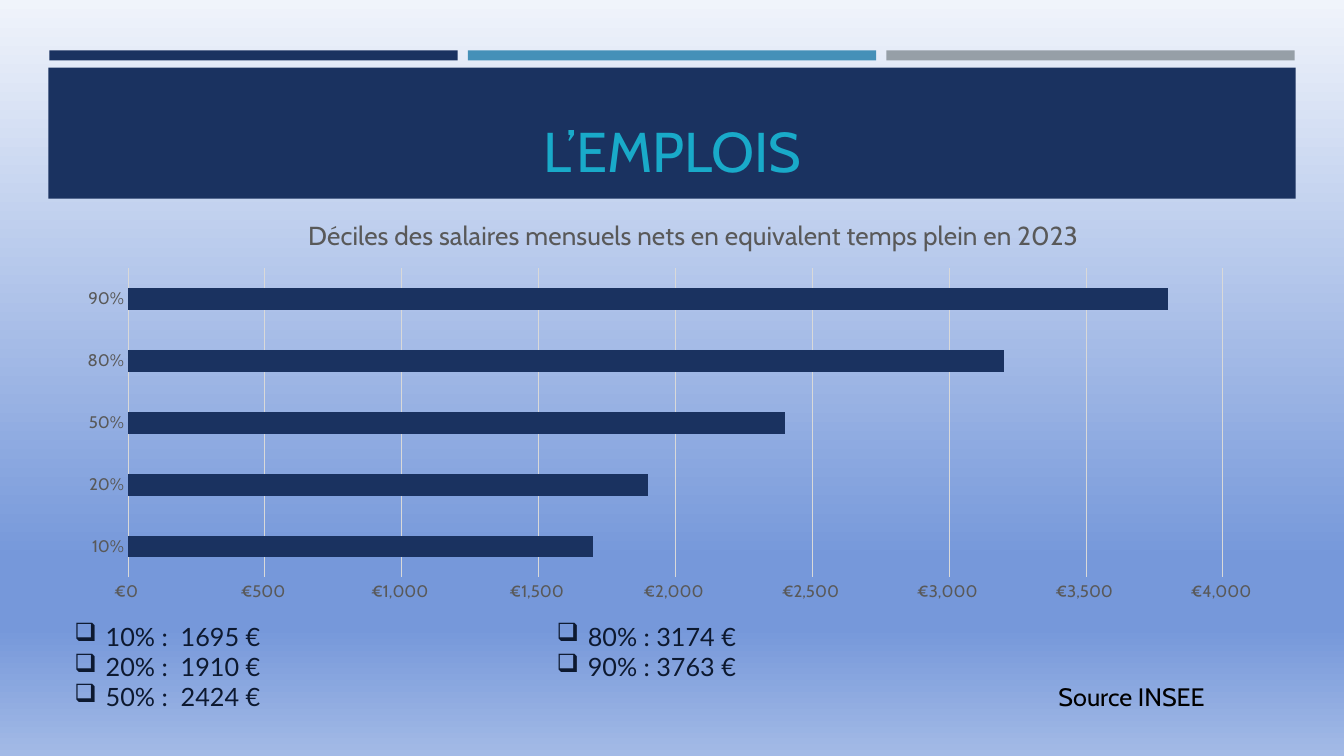
from dataclasses import dataclass

from lxml.etree import SubElement
from pptx import Presentation
from pptx.chart.data import CategoryChartData
from pptx.dml.color import RGBColor
from pptx.enum.chart import XL_CHART_TYPE, XL_TICK_MARK
from pptx.enum.shapes import MSO_SHAPE
from pptx.enum.text import MSO_ANCHOR, MSO_AUTO_SIZE, PP_ALIGN
from pptx.oxml.ns import qn
from pptx.util import Inches, Pt


@dataclass(frozen=True)
class Theme:
    navy: str = "1A3260"
    blue: str = "4590B8"
    grey: str = "969FA7"
    title: str = "19AAC9"
    body: str = "0D1930"
    black: str = "000000"
    axis: str = "595959"
    grid: str = "D9D9D9"
    sky: tuple = ((0, "F0F4FB"), (74, "7698DA"), (83, "7698DA"), (100, "A3BAE6"))
    font: str = "Cabin"
    list_font: str = "Lato"
    title_size: float = 40
    chart_title_size: float = 18.6
    body_size: float = 18
    axis_size: float = 12
    chart_size: float = 10


def style_font(font, name, size, color):
    font.name, font.size, font.bold = name, Pt(size), False
    font.color.rgb = RGBColor.from_string(color)


def place_part(parent, before, frame, inner=False, **inches):
    """Place a chart part by inches from the top left of the chart frame."""
    layout = parent.find(qn("c:layout"))
    if layout is None:
        layout = SubElement(parent, qn("c:layout"))
        parent.find(qn(before)).addprevious(layout)
    for child in list(layout):
        layout.remove(child)
    manual = SubElement(layout, qn("c:manualLayout"))
    if inner:
        SubElement(manual, qn("c:layoutTarget"), val="inner")
    for key in ("xMode", "yMode"):
        SubElement(manual, qn(f"c:{key}"), val="edge")
    width, height = frame[2:]
    for key, value in inches.items():
        whole = width if key in "xw" else height
        SubElement(manual, qn(f"c:{key}"), val=str(value / whole))


class SlideBuilder:
    def __init__(self, slide, theme):
        self.s, self.theme = slide, theme

    def background(self, stops):
        fill = self.s.background.fill
        fill.gradient()
        fill.gradient_angle = 270
        gs_list = self.s.element.find(".//" + qn("a:gsLst"))
        for gs in list(gs_list):
            gs_list.remove(gs)
        for percent, color in stops:
            gs = SubElement(gs_list, qn("a:gs"), pos=str(percent * 1000))
            SubElement(gs, qn("a:srgbClr"), val=color)

    def bar(self, x, y, w, h, color):
        sp = self.s.shapes.add_shape(
            MSO_SHAPE.RECTANGLE, Inches(x), Inches(y), Inches(w), Inches(h))
        sp.shadow.inherit = False
        sp.fill.solid()
        sp.fill.fore_color.rgb = RGBColor.from_string(color)
        sp.line.fill.background()

    def text(self, box, lines, font, size, color, align=PP_ALIGN.LEFT,
             anchor=MSO_ANCHOR.TOP, grow=False):
        tf = self.s.shapes.add_textbox(*map(Inches, box)).text_frame
        tf.word_wrap = True
        tf.vertical_anchor = anchor
        tf.auto_size = MSO_AUTO_SIZE.SHAPE_TO_FIT_TEXT if grow else MSO_AUTO_SIZE.NONE
        for i, line in enumerate(lines):
            p = tf.add_paragraph() if i else tf.paragraphs[0]
            p.alignment = align
            r = p.add_run()
            r.text = line
            style_font(r.font, font, size, color)
        return tf

    def bullets(self, box, lines, columns):
        t = self.theme
        tf = self.text(box, lines, t.list_font, t.body_size, t.body, grow=True)
        tf._txBody.bodyPr.set("numCol", str(columns))
        indent = Inches(0.31)
        for p in tf.paragraphs:
            pPr = p._p.get_or_add_pPr()
            pPr.set("marL", str(indent))
            pPr.set("indent", str(-indent))
            SubElement(pPr, qn("a:buChar"), char="❑")

    def bar_chart(self, box, title, values):
        t = self.theme
        data = CategoryChartData()
        data.categories = list(values)
        data.add_series("Series 1", list(values.values()))
        chart = self.s.shapes.add_chart(
            XL_CHART_TYPE.BAR_CLUSTERED, *map(Inches, box), data).chart
        style_font(chart.font, t.font, t.chart_size, t.black)
        chart.has_legend = False

        r = chart.chart_title.text_frame.paragraphs[0].add_run()
        r.text = title
        style_font(r.font, t.font, t.chart_title_size, t.axis)
        chart.chart_title.include_in_layout = False
        place_part(chart.chart_title._element, "c:overlay", box, x=2.37, y=0.08)
        place_part(chart._chartSpace.chart.plotArea, "c:barChart", box, inner=True,
                   x=0.63, y=0.63, w=10.86, h=3.07)

        plot = chart.plots[0]
        plot.gap_width = 182
        plot.vary_by_categories = False
        fill = plot.series[0].format.fill
        fill.solid()
        fill.fore_color.rgb = RGBColor.from_string(t.navy)

        cat, val = chart.category_axis, chart.value_axis
        for axis in (cat, val):
            axis.major_tick_mark = axis.minor_tick_mark = XL_TICK_MARK.NONE
            style_font(axis.tick_labels.font, t.font, t.axis_size, t.axis)
        val.minimum_scale, val.maximum_scale, val.major_unit = 0, 4000, 500
        val.has_major_gridlines = True
        val.format.line.fill.background()
        val.tick_labels.number_format = '"€"#,##0_);[Red]\\("€"#,##0\\)'
        val.tick_labels.number_format_is_linked = False
        for line in (cat.format.line, val.major_gridlines.format.line):
            line.color.rgb = RGBColor.from_string(t.grid)
            line.width = Pt(0.75)


def main():
    theme = Theme()
    prs = Presentation()
    prs.slide_width, prs.slide_height = Inches(13.33), Inches(7.5)
    b = SlideBuilder(prs.slides.add_slide(prs.slide_layouts[6]), theme)
    salaries = {"10%": 1700, "20%": 1900, "50%": 2400, "80%": 3200, "90%": 3800}

    b.background(theme.sky)
    for i, color in enumerate((theme.navy, theme.blue, theme.grey)):
        b.bar(0.49 + i * 4.15, 0.5, 4.05, 0.1, color)
    b.bar(0.48, 0.67, 12.37, 1.3, theme.navy)
    b.text((0.64, 0.76, 12.06, 1.11), ["L’EMPLOIS"], theme.font, theme.title_size,
           theme.title, PP_ALIGN.CENTER, MSO_ANCHOR.BOTTOM)
    b.bar_chart((0.64, 2.03, 12.06, 4.02),
                "Déciles des salaires mensuels nets en equivalent temps plein en 2023",
                salaries)
    b.bullets((0.64, 6.11, 9.76, 1.01),
              ["10% :  1695 €", "20% :  1910 €", "50% :  2424 €",
               "80% : 3174 €", "90% : 3763 €"], columns=2)
    b.text((10.4, 6.71, 2.3, 0.4), ["Source INSEE"], theme.font, theme.body_size,
           theme.black, grow=True)
    prs.save("out.pptx")


if __name__ == "__main__":
    main()
